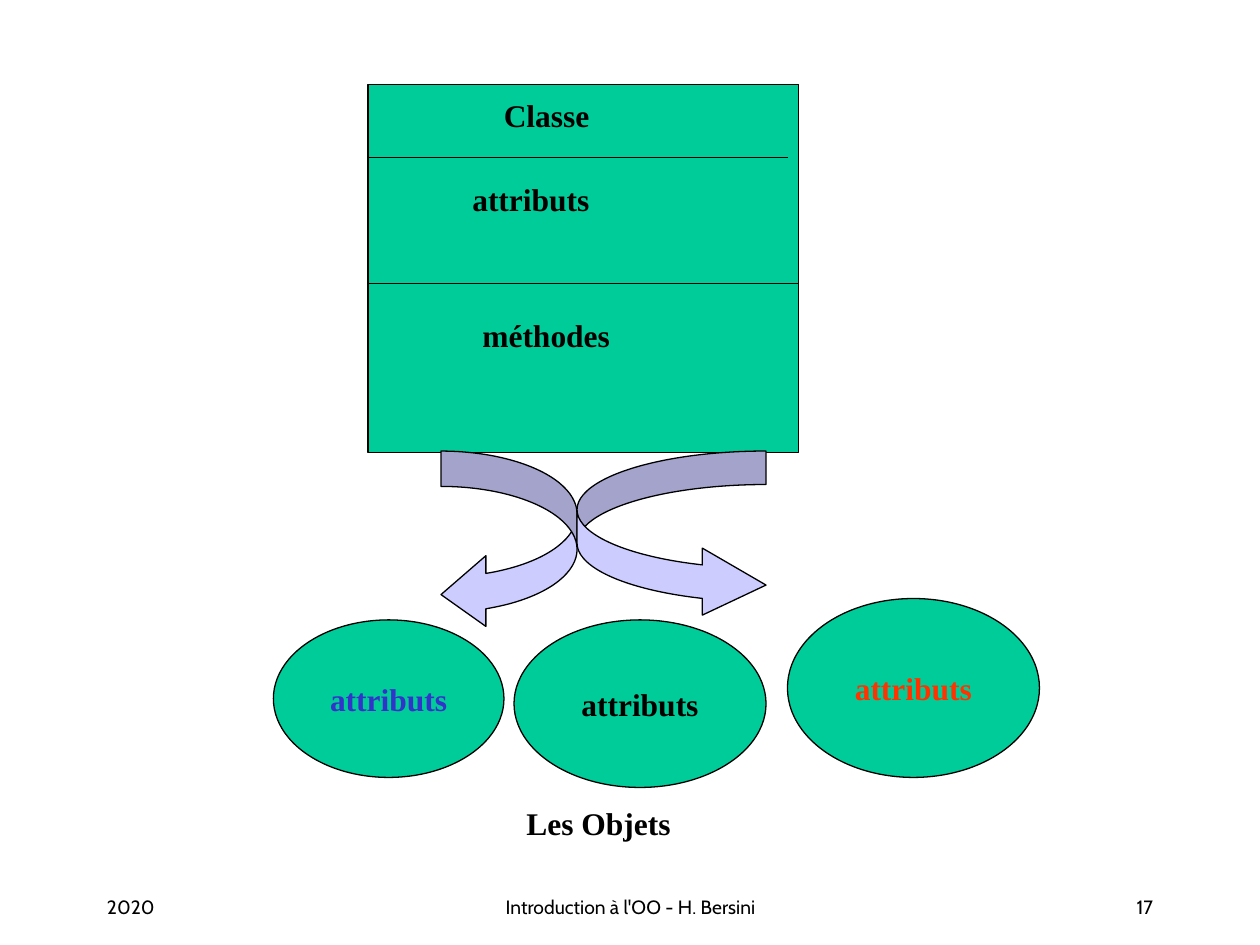
from dataclasses import dataclass

from lxml import etree
from pptx import Presentation
from pptx.dml.color import RGBColor
from pptx.enum.shapes import MSO_CONNECTOR, MSO_SHAPE
from pptx.enum.text import MSO_ANCHOR, PP_ALIGN
from pptx.oxml.ns import qn
from pptx.util import Inches, Pt

STRAIGHT = MSO_CONNECTOR.STRAIGHT
RECTANGLE = MSO_SHAPE.RECTANGLE
OVAL = MSO_SHAPE.OVAL
LEFT_ARROW = MSO_SHAPE.CURVED_LEFT_ARROW
RIGHT_ARROW = MSO_SHAPE.CURVED_RIGHT_ARROW
MIDDLE = MSO_ANCHOR.MIDDLE
LEFT, CENTER, RIGHT = PP_ALIGN.LEFT, PP_ALIGN.CENTER, PP_ALIGN.RIGHT

COLORS = {
    "black": "000000",
    "green": "00CC99",
    "lavender": "CCCCFF",
    "blue": "3333CC",
    "red": "FF3300",
}
BODY_FORMAT = {"name": "Times New Roman", "size": Pt(18), "bold": True}
FOOTER_FORMAT = {"name": "Cabin", "size": Pt(11), "bold": False}
LINE_WIDTH = Pt(0.75)


@dataclass(frozen=True)
class Box:
    left: float
    top: float
    width: float
    height: float

    def lengths(self) -> list:
        return [Inches(value) for value in (self.left, self.top, self.width, self.height)]


@dataclass(frozen=True)
class Figure:
    kind: int
    box: Box
    fill: str
    adjustments: tuple = ()
    text: str = ""
    text_color: str = "black"


@dataclass(frozen=True)
class Label:
    text: str
    box: Box
    alignment: int = LEFT


CLASS_BOX = Figure(RECTANGLE, Box(2.92, 0.67, 3.42, 2.92), "green")
DIVIDERS = [(2.92, 6.25, 1.25), (2.92, 6.33, 2.25)]
LABELS = [
    Label("Classe", Box(3.9, 0.71, 1.07, 0.5)),
    Label("attributs", Box(3.65, 1.38, 1.29, 0.5)),
    Label("méthodes", Box(3.73, 2.46, 1.48, 0.5)),
    Label("Les Objets", Box(4.08, 6.33, 1.64, 0.5)),
]
OBJECTS = [
    Figure(OVAL, box, "green", text="attributs", text_color=color)
    for box, color in [
        (Box(2.17, 4.92, 1.83, 1.25), "blue"),
        (Box(4.08, 4.92, 2, 1.33), "black"),
        (Box(6.25, 4.75, 2, 1.42), "red"),
    ]
]
ARROWS = [
    Figure(LEFT_ARROW, Box(3.5, 3.58, 1.08, 1.42), "lavender", (0.26, 0.52, 0.33)),
    Figure(RIGHT_ARROW, Box(4.58, 3.58, 1.5, 1.33), "lavender", (0.2, 0.4, 0.38)),
]
FOOTERS = [
    Label("2020", Box(0.75, 7.06, 2.08, 0.28)),
    Label("Introduction à l'OO - H. Bersini", Box(3.42, 7.06, 3.17, 0.28), CENTER),
    Label("17", Box(7.17, 7.06, 2.08, 0.28), RIGHT),
]


def rgb(name: str) -> RGBColor:
    return RGBColor.from_string(COLORS[name])


def write_text(shape, text: str, alignment: int, font_format: dict, color: str) -> None:
    paragraph = shape.text_frame.paragraphs[0]
    paragraph.alignment = alignment
    run = paragraph.add_run()
    run.text = text
    for attribute, value in font_format.items():
        setattr(run.font, attribute, value)
    run.font.color.rgb = rgb(color)


def style_line(shape) -> None:
    shape.line.color.rgb = rgb("black")
    shape.line.width = LINE_WIDTH


def draw_figure(shapes, figure: Figure) -> None:
    shape = shapes.add_shape(figure.kind, *figure.box.lengths())
    shape.shadow.inherit = False
    shape.fill.solid()
    shape.fill.fore_color.rgb = rgb(figure.fill)
    style_line(shape)
    for index, value in enumerate(figure.adjustments):
        shape.adjustments[index] = value
    if figure.text:
        shape.text_frame.word_wrap = False
        shape.text_frame.vertical_anchor = MIDDLE
        write_text(shape, figure.text, CENTER, BODY_FORMAT, figure.text_color)


def draw_divider(shapes, start: float, end: float, top: float) -> None:
    connector = shapes.add_connector(
        STRAIGHT, Inches(start), Inches(top), Inches(end), Inches(top)
    )
    style_line(connector)
    etree.SubElement(connector._element.spPr, qn("a:effectLst"))


def draw_label(shapes, label: Label, font_format: dict) -> None:
    shape = shapes.add_textbox(*label.box.lengths())
    shape.text_frame.word_wrap = True
    write_text(shape, label.text, label.alignment, font_format, "black")


def main() -> None:
    """Build the slide that relates a class to its objects."""
    presentation = Presentation()
    presentation.slide_width = Inches(10)
    presentation.slide_height = Inches(7.5)
    slide = presentation.slides.add_slide(presentation.slide_layouts[6])
    diagram = slide.shapes.add_group_shape().shapes
    draw_figure(diagram, CLASS_BOX)
    for start, end, top in DIVIDERS:
        draw_divider(diagram, start, end, top)
    for label in LABELS:
        draw_label(diagram, label, BODY_FORMAT)
    for figure in OBJECTS + ARROWS:
        draw_figure(diagram, figure)
    for footer in FOOTERS:
        draw_label(slide.shapes, footer, FOOTER_FORMAT)
    presentation.save("out.pptx")


if __name__ == "__main__":
    main()
